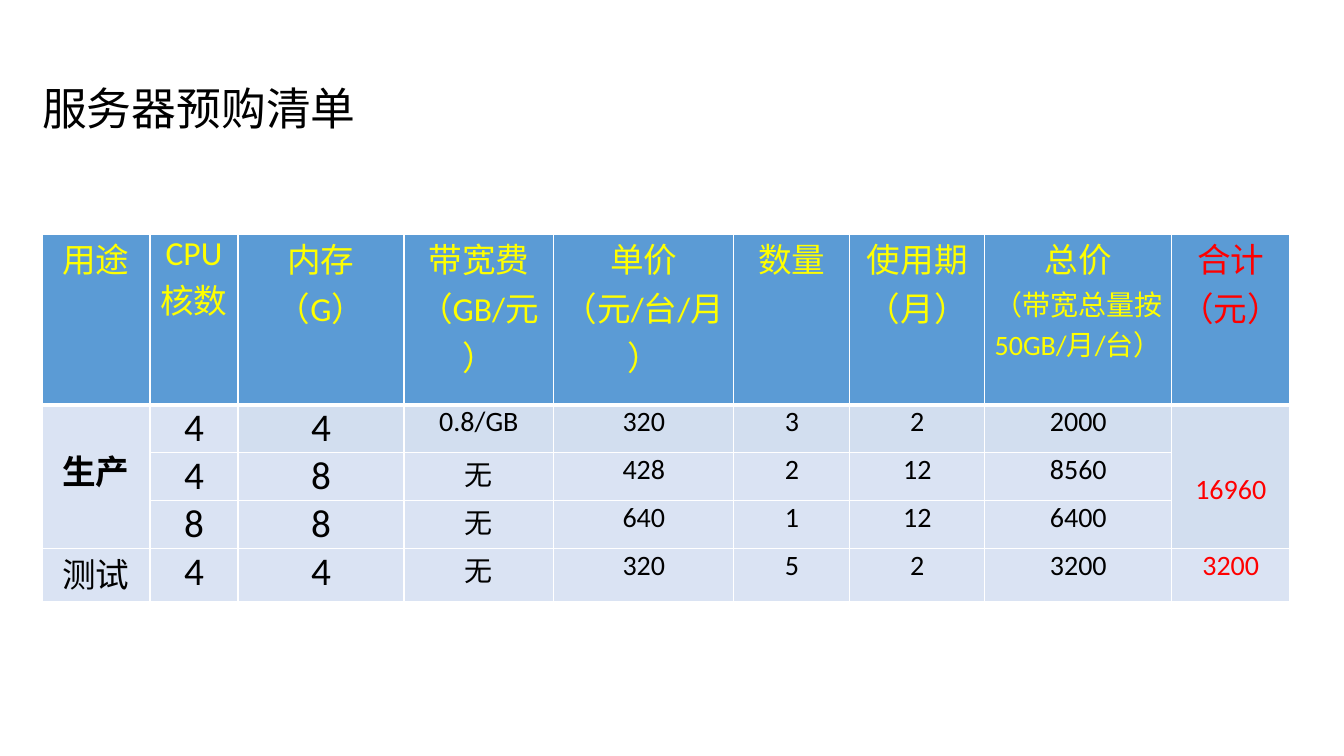
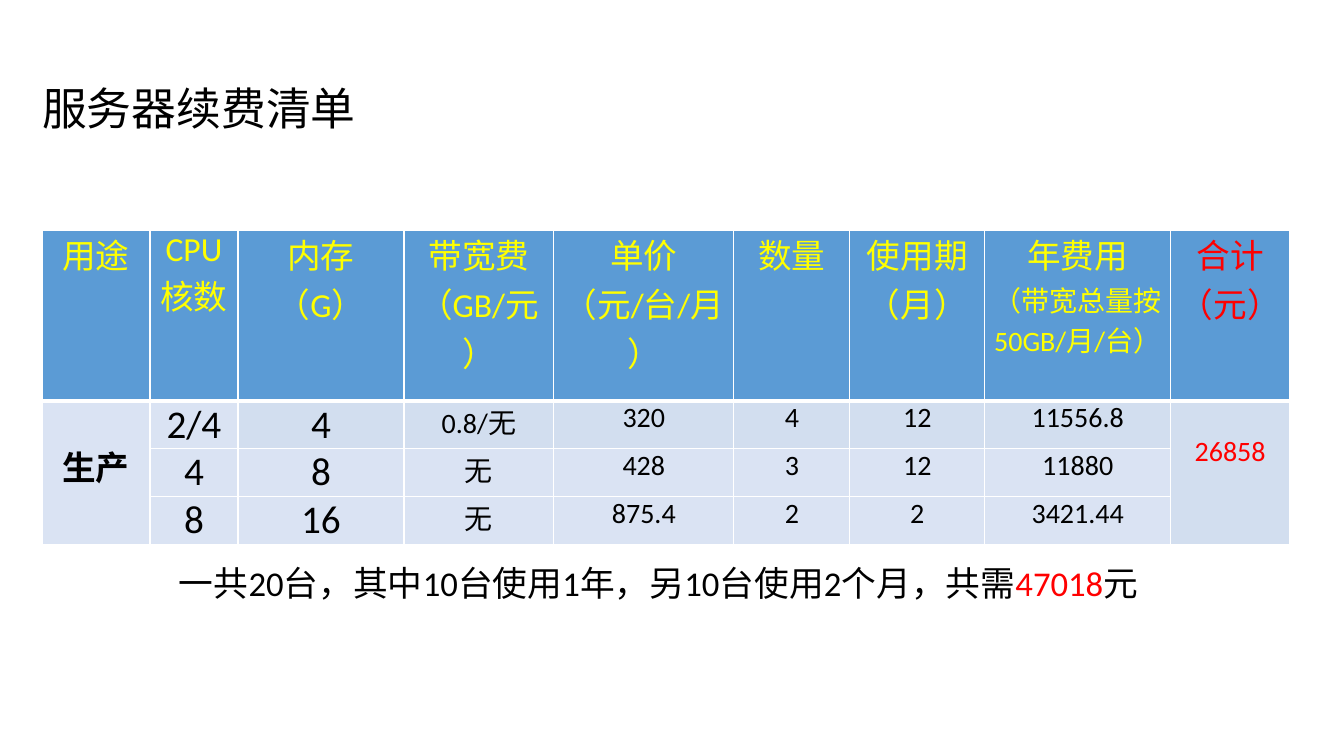
from pptx import Presentation
from pptx.dml.color import RGBColor
from pptx.enum.text import MSO_ANCHOR as Anchor, MSO_AUTO_SIZE as AutoSize, PP_ALIGN as Align
from pptx.oxml import parse_xml
from pptx.oxml.ns import nsdecls
from pptx.util import Emu, Pt

BLACK = RGBColor(0x00, 0x00, 0x00)
WHITE = RGBColor(0xFF, 0xFF, 0xFF)
YELLOW = RGBColor(0xFF, 0xFF, 0x00)
RED = RGBColor(0xFF, 0x00, 0x00)
HEADER_BLUE = RGBColor(0x5B, 0x9B, 0xD5)
BAND_BLUE = RGBColor(0xD2, 0xDE, 0xEF)
PALE_BLUE = RGBColor(0xDA, 0xE3, 0xF3)

FONT = "Calibri"
PX_PER_INCH = 100.8
TITLE_BOX = (32, 76, 375, 69)
NOTE_BOX = (169, 553, 1017, 69)
COLUMN_WIDTHS = [108, 88, 166, 150, 180, 116, 135]
HEADER_HEIGHT = 170
ROW_HEIGHT = 48
BODY_SIZES = [24, 28, 28, 20, 20, 20, 20, 20, 20]
GROUP_ROWS = 3


def px(length):
    return Emu(round(length * 914400 / PX_PER_INCH))


def place(shape, box):
    shape.left, shape.top, shape.width, shape.height = map(px, box)


def add_run(paragraph, text, size, color=BLACK, bold=False):
    run = paragraph.add_run()
    run.text = text
    run.font.name = FONT
    run.font.size = Pt(size)
    run.font.bold = bold
    run.font.color.rgb = color


def set_borders(cell, bottom_width):
    properties = cell._tc.get_or_add_tcPr()
    widths = {"lnL": 1, "lnR": 1, "lnT": 1, "lnB": bottom_width}
    for index, (side, width) in enumerate(widths.items()):
        properties.insert(index, parse_xml(
            f'<a:{side} {nsdecls("a")} w="{Pt(width)}"><a:solidFill>'
            f'<a:srgbClr val="{WHITE}"/></a:solidFill></a:{side}>'))


def fill_cell(cell, lines, fill, color, bold=False, bottom_width=1):
    cell.margin_left = cell.margin_right = px(7)
    cell.margin_top = cell.margin_bottom = 0
    cell.fill.solid()
    cell.fill.fore_color.rgb = fill
    set_borders(cell, bottom_width)
    for index, (text, size) in enumerate(lines):
        frame = cell.text_frame
        paragraph = frame.add_paragraph() if index else frame.paragraphs[0]
        paragraph.alignment = Align.CENTER
        add_run(paragraph, text, size, color, bold)


def header_lines(period, cost):
    plain = [["用途"], ["CPU", "核数"], ["内存（G）"], ["带宽费（GB/元）"],
             ["单价", "（元/台/月）"], ["数量"], period]
    cells = [[(text, 24) for text in lines] for lines in plain]
    cells.append([(cost, 24), ("（带宽总量按", 20), ("50GB/月/台）", 20)])
    cells.append([("合计", 24), ("（元）", 24)])
    return cells


def add_price_table(slide, left, top, last_widths, header, rows, last_height, total_drop):
    widths = COLUMN_WIDTHS + last_widths
    heights = [HEADER_HEIGHT] + [ROW_HEIGHT] * (len(rows) - 1) + [last_height]
    table = slide.shapes.add_table(
        len(heights), len(widths), px(left), px(top),
        px(sum(widths)), px(sum(heights))).table
    table.first_row = table.horz_banding = False
    for column, width in zip(table.columns, widths):
        column.width = px(width)
    for row, height in zip(table.rows, heights):
        row.height = px(height)

    last = len(widths) - 1
    for column, lines in enumerate(header):
        color = RED if column == last else YELLOW
        fill_cell(table.cell(0, column), lines, HEADER_BLUE, color, bottom_width=3)
    for row, values in enumerate(rows, 1):
        for column, value in enumerate(values):
            fill = BAND_BLUE if row == 1 and column > 1 else PALE_BLUE
            color = RED if column == last else BLACK
            lines = [(value, BODY_SIZES[column])] if value else []
            fill_cell(table.cell(row, column), lines, fill, color,
                      bold=row == 1 and column == 0)
    for column, drop in ((0, 41), (last, total_drop)):
        group = table.cell(1, column)
        group.merge(table.cell(GROUP_ROWS, column))
        group.margin_top = px(drop)


def add_titled_slide(presentation, title):
    slide = presentation.slides.add_slide(presentation.slide_layouts[5])
    shape = slide.shapes.title
    place(shape, TITLE_BOX)
    frame = shape.text_frame
    frame.auto_size = AutoSize.NONE
    frame.vertical_anchor = Anchor.MIDDLE
    paragraph = frame.paragraphs[0]
    paragraph.alignment = Align.LEFT
    paragraph.line_spacing = 0.9
    add_run(paragraph, title, 32)
    return slide


def add_note(slide, box, runs):
    frame = slide.shapes.add_textbox(*map(px, box)).text_frame
    frame.word_wrap = True
    frame.vertical_anchor = Anchor.MIDDLE
    paragraph = frame.paragraphs[0]
    paragraph.line_spacing = 0.7
    for text, color in runs:
        add_run(paragraph, text, 24.8, color)


def build_purchase_slide(presentation):
    slide = add_titled_slide(presentation, "服务器预购清单")
    rows = [
        ["生产", "4", "4", "0.8/GB", "320", "3", "2", "2000", "16960"],
        ["", "4", "8", "无", "428", "2", "12", "8560", ""],
        ["", "8", "8", "无", "640", "1", "12", "6400", ""],
        ["测试", "4", "4", "无", "320", "5", "2", "3200", "3200"],
    ]
    add_price_table(slide, 42, 234, [187, 118], header_lines(["使用期（月）"], "总价"),
                    rows, last_height=53, total_drop=68)


def build_renewal_slide(presentation):
    slide = add_titled_slide(presentation, "服务器续费清单")
    rows = [
        ["生产", "2/4", "4", "0.8/无", "320", "4", "12", "11556.8", "26858"],
        ["", "4", "8", "无", "428", "3", "12", "11880", ""],
        ["", "8", "16", "无", "875.4", "2", "2", "3421.44", ""],
    ]
    add_price_table(slide, 42, 230, [186, 119], header_lines(["使用期", "（月）"], "年费用"),
                    rows, last_height=ROW_HEIGHT, total_drop=34)
    add_note(slide, NOTE_BOX, [
        ("一共20台，其中10台使用1年，另10台使用2个月，共需", BLACK),
        ("47018", RED), ("元", BLACK)])


def main():
    presentation = Presentation()
    presentation.slide_width, presentation.slide_height = px(1344), px(756)
    build_purchase_slide(presentation)
    build_renewal_slide(presentation)
    presentation.save("out.pptx")


if __name__ == "__main__":
    main()
